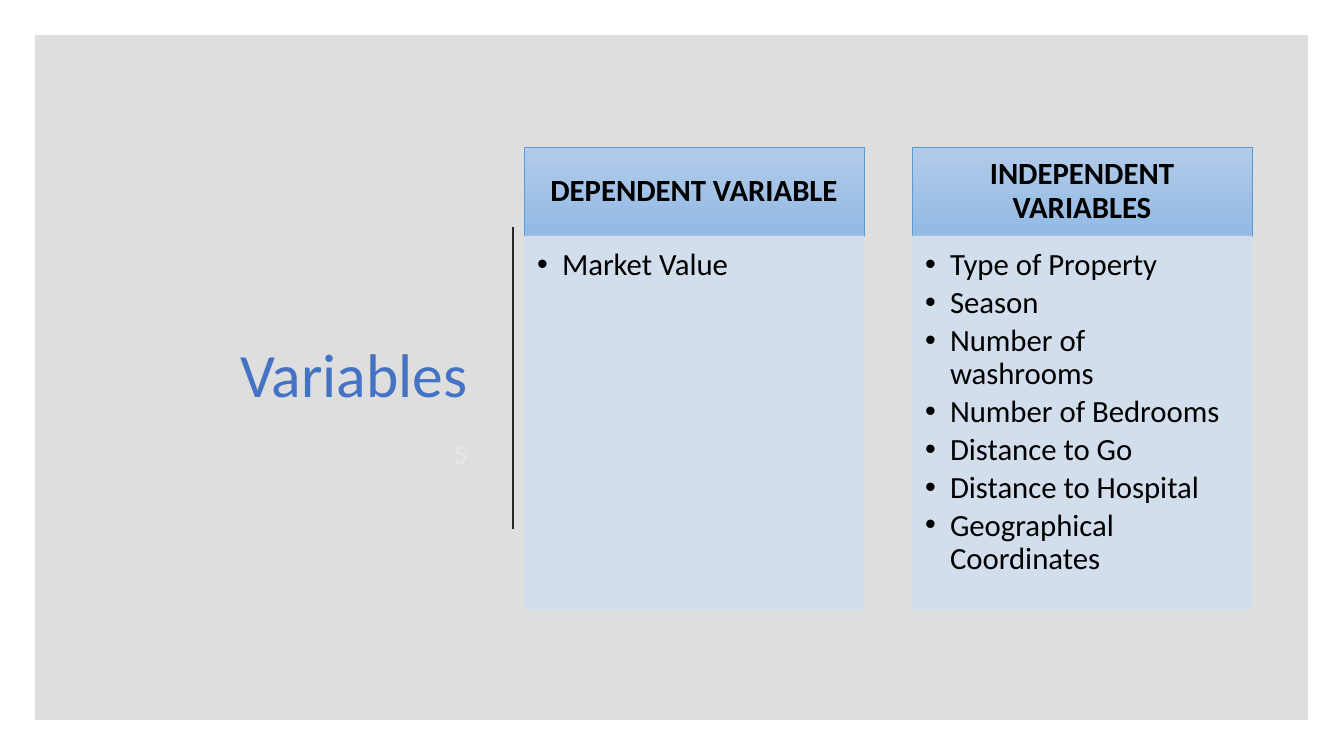
from pptx import Presentation
from pptx.dml.color import RGBColor
from pptx.enum.shapes import MSO_CONNECTOR, MSO_SHAPE
from pptx.enum.text import MSO_ANCHOR, MSO_AUTO_SIZE, PP_ALIGN
from pptx.oxml.ns import qn
from pptx.util import Emu, Pt
from lxml.etree import SubElement

SCALE = 914400 / 100.8
FONT = "Calibri"
BLACK = RGBColor(0x00, 0x00, 0x00)
PANEL = RGBColor(0x40, 0x40, 0x40)
RULE = RGBColor(0x26, 0x26, 0x26)
TITLE = RGBColor(0x44, 0x72, 0xC4)
PALE = RGBColor(0xE7, 0xE6, 0xE6)
HEAD_TOP = RGBColor(0xB1, 0xCB, 0xE9)
HEAD_BOTTOM = RGBColor(0x93, 0xB9, 0xE4)
HEAD_LINE = RGBColor(0x5B, 0x9B, 0xD5)
BODY = RGBColor(0xD2, 0xDE, 0xEF)

COLUMNS = [
    ("DEPENDENT VARIABLE", ["Market Value"]),
    ("INDEPENDENT VARIABLES", [
        "Type of Property", "Season", "Number of washrooms",
        "Number of Bedrooms", "Distance to Go", "Distance to Hospital",
        "Geographical Coordinates",
    ]),
]


def px(n):
    return Emu(round(n * SCALE))


class Deck:
    def __init__(self):
        self.prs = Presentation()
        self.prs.slide_width, self.prs.slide_height = px(1344), px(756)
        self.s = self.prs.slides.add_slide(self.prs.slide_layouts[4])

    def place(self, sp, box):
        sp.left, sp.top, sp.width, sp.height = map(px, box)

    def set_alpha(self, sp, percent):
        for clr in sp._element.spPr.iter(qn("a:srgbClr")):
            SubElement(clr, qn("a:alpha")).set("val", str(percent * 1000))

    def panel(self, box, color, percent):
        sp = self.s.shapes.add_shape(MSO_SHAPE.RECTANGLE, *map(px, box))
        sp.shadow.inherit = False
        sp.fill.solid()
        sp.fill.fore_color.rgb = color
        sp.line.fill.background()
        self.set_alpha(sp, percent)
        self.s.shapes._spTree.insert(2, sp._element)

    def rule(self, x, top, bottom, color):
        c = self.s.shapes.add_connector(
            MSO_CONNECTOR.STRAIGHT, px(x), px(top), px(x), px(bottom))
        c.line.color.rgb = color
        c.line.width = Pt(1.5)
        SubElement(c._element.spPr, qn("a:effectLst"))

    def add_text(self, sp, lines, size, color, align, anchor, margins,
                 bold=False, bullet=False, after=0):
        tf = sp.text_frame
        tf.word_wrap = True
        tf.auto_size = MSO_AUTO_SIZE.NONE
        tf.vertical_anchor = anchor
        (tf.margin_left, tf.margin_top,
         tf.margin_right, tf.margin_bottom) = map(px, margins)
        for i, line in enumerate(lines):
            p = tf.add_paragraph() if i else tf.paragraphs[0]
            p.alignment = align
            p.line_spacing = 0.9
            p.space_before, p.space_after = Pt(0), Pt(after)
            if bullet:
                pPr = p._p.get_or_add_pPr()
                pPr.set("marL", str(px(25)))
                pPr.set("indent", str(px(-25)))
                SubElement(pPr, qn("a:buFont")).set("typeface", "Arial")
                SubElement(pPr, qn("a:buChar")).set("char", "•")
            r = p.add_run()
            r.text = line
            r.font.name, r.font.size, r.font.bold = FONT, Pt(size), bold
            r.font.color.rgb = color

    def title(self, text, box):
        sp = self.s.shapes.title
        self.place(sp, box)
        self.add_text(sp, [text], 44, TITLE, PP_ALIGN.RIGHT,
                      MSO_ANCHOR.BOTTOM, (10, 5, 10, 5))

    def label(self, text, box):
        sp = self.s.shapes.add_textbox(*map(px, box))
        self.add_text(sp, [text], 20, PALE, PP_ALIGN.RIGHT,
                      MSO_ANCHOR.TOP, (10, 5, 10, 5), bold=True)

    def heading(self, idx, text, box):
        sp = self.s.placeholders[idx]
        self.place(sp, box)
        sp.fill.gradient()
        sp.fill.gradient_angle = 270
        for stop, color in zip(sp.fill.gradient_stops,
                               (HEAD_TOP, HEAD_BOTTOM)):
            stop.color.rgb = color
        sp.line.color.rgb = HEAD_LINE
        sp.line.width = Pt(0.5)
        self.add_text(sp, [text], 22, BLACK, PP_ALIGN.CENTER,
                      MSO_ANCHOR.MIDDLE, (17, 10, 17, 10), bold=True)

    def bullets(self, idx, items, box):
        sp = self.s.placeholders[idx]
        self.place(sp, box)
        sp.fill.solid()
        sp.fill.fore_color.rgb = BODY
        sp.line.color.rgb = BODY
        sp.line.width = Pt(0.5)
        self.set_alpha(sp, 90)
        self.add_text(sp, items, 22, BLACK, PP_ALIGN.LEFT, MSO_ANCHOR.TOP,
                      (13, 13, 17, 19), bullet=True, after=3.3)


def main():
    deck = Deck()
    deck.panel((35, 35, 1273, 685), PANEL, 17)
    deck.title("Variables", (93, 106, 385, 310))
    deck.label("5", (93, 435, 385, 40))
    deck.rule(513, 227, 529, RULE)
    for i, (head, items) in enumerate(COLUMNS):
        left = 524 + i * 388
        deck.heading(1 + 2 * i, head, (left, 147, 340, 89))
        deck.bullets(2 + 2 * i, items, (left, 236, 340, 373))
    deck.prs.save("out.pptx")


if __name__ == "__main__":
    main()
